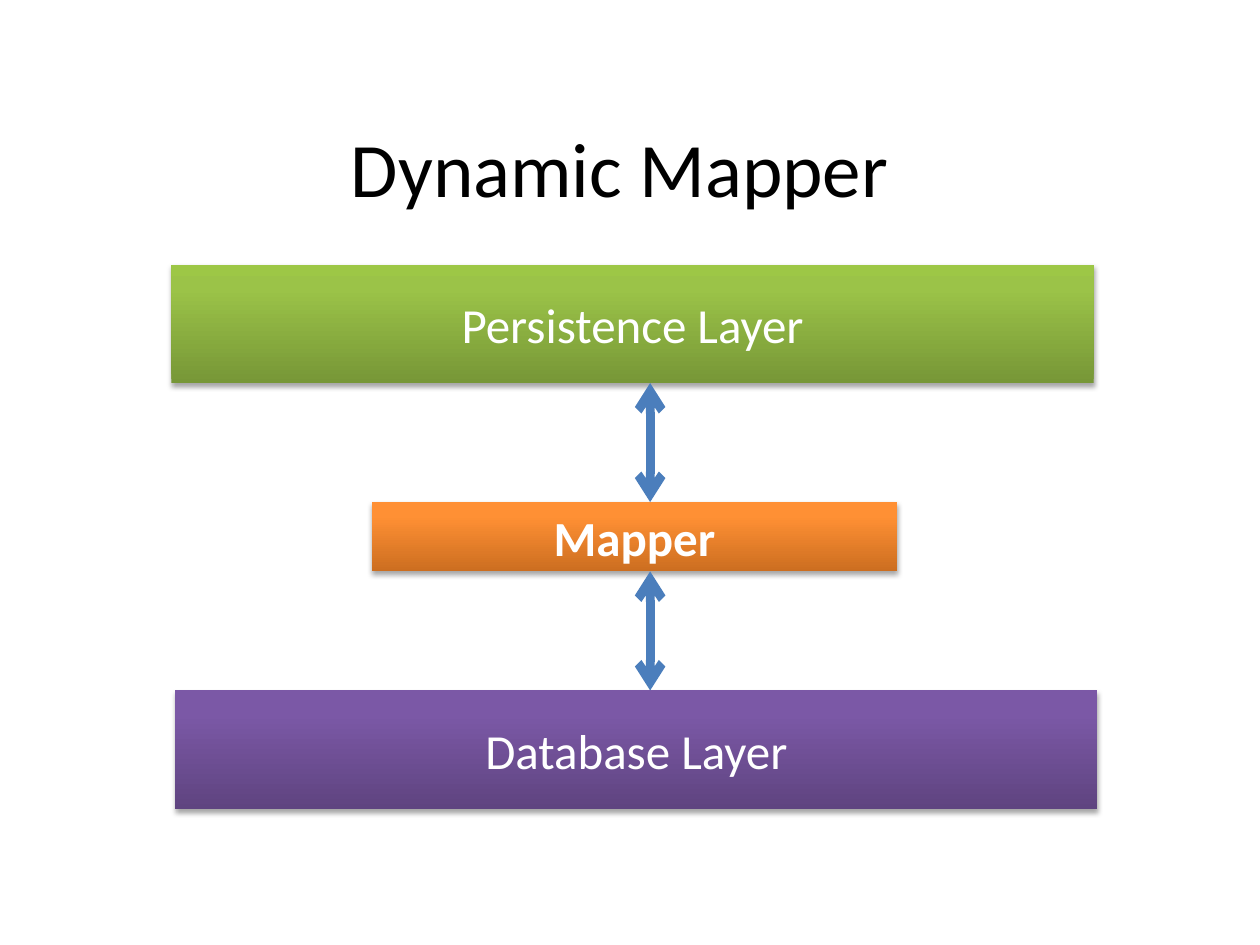
from pptx import Presentation
from pptx.dml.color import RGBColor
from pptx.enum.shapes import MSO_CONNECTOR, MSO_SHAPE
from pptx.enum.text import MSO_ANCHOR, PP_ALIGN
from pptx.oxml import parse_xml
from pptx.oxml.ns import nsdecls
from pptx.util import Inches, Pt

BLACK = RGBColor(0x00, 0x00, 0x00)
WHITE = RGBColor(0xFF, 0xFF, 0xFF)
BLUE = RGBColor(0x4B, 0x7E, 0xBC)
GREEN = [RGBColor(0x77, 0x97, 0x37), RGBColor(0x9B, 0xC3, 0x48), RGBColor(0x9D, 0xC7, 0x46)]
ORANGE = [RGBColor(0xCC, 0x6E, 0x20), RGBColor(0xFF, 0x90, 0x34), RGBColor(0xFF, 0x91, 0x36)]
PURPLE = [RGBColor(0x5F, 0x44, 0x80), RGBColor(0x7B, 0x58, 0xA6), RGBColor(0x7C, 0x57, 0xA8)]
STOPS = (0, 80, 100)


class Deck:
    cell = Inches(0.1)
    cols, rows = 100, 75
    frame = {"word_wrap": True, "vertical_anchor": MSO_ANCHOR.MIDDLE}
    font = {"name": "Calibri", "size": Pt(28), "bold": False}

    def __init__(self):
        self.show = Presentation()
        self.show.slide_width, self.show.slide_height = self.grid(self.cols, self.rows)
        self.slide = self.show.slides.add_slide(self.show.slide_layouts[6])

    def grid(self, *cells):
        return [round(n * self.cell) for n in cells]

    def label(self, shape, text, color, **style):
        for key, value in self.frame.items():
            setattr(shape.text_frame, key, value)
        line = shape.text_frame.paragraphs[0]
        line.alignment = PP_ALIGN.CENTER
        run = line.add_run()
        run.text = text
        for key, value in (self.font | style).items():
            setattr(run.font, key, value)
        run.font.color.rgb = color

    def title(self, text, *area):
        box = self.slide.shapes.add_textbox(*self.grid(*area))
        self.label(box, text, BLACK, size=Pt(44))

    def layer(self, text, tones, *area, **style):
        box = self.slide.shapes.add_shape(MSO_SHAPE.RECTANGLE, *self.grid(*area))
        box.line.fill.background()
        stops = "".join(
            f'<a:gs pos="{stop * 1000}"><a:srgbClr val="{tone}"/></a:gs>'
            for stop, tone in zip(STOPS, tones))
        box.line._ln.addprevious(parse_xml(
            f'<a:gradFill {nsdecls("a")} rotWithShape="1"><a:gsLst>{stops}</a:gsLst>'
            '<a:lin ang="16200000" scaled="0"/></a:gradFill>'))
        box.shadow.inherit = False
        box._element.spPr[-1].append(parse_xml(
            f'<a:outerShdw {nsdecls("a")} blurRad="{Pt(3.1)}" dist="{Pt(1.8)}" '
            'dir="5400000" rotWithShape="0"><a:srgbClr val="000000">'
            '<a:alpha val="35000"/></a:srgbClr></a:outerShdw>'))
        self.label(box, text, WHITE, **style)

    def arrow(self, col, top, end):
        link = self.slide.shapes.add_connector(
            MSO_CONNECTOR.STRAIGHT, *self.grid(col, top, col, end))
        link.line.color.rgb = BLUE
        link.line.width = Pt(5)
        for tag in ("headEnd", "tailEnd"):
            link.line._ln.append(parse_xml(f'<a:{tag} {nsdecls("a")} type="arrow"/>'))
        link._element.spPr.append(parse_xml(f'<a:effectLst {nsdecls("a")}/>'))


def main():
    wide, tall, slim, gap = 73.2, 9.4, 5.5, 9.45
    top = 21
    mid = top + tall + gap
    base = mid + slim + gap
    deck = Deck()
    deck.title("Dynamic Mapper", 6.7, 5.2, 85, 16.1)
    deck.layer("Persistence Layer", GREEN, 13.6, top, wide, tall)
    deck.layer("Database Layer", PURPLE, 13.9, base, wide, tall)
    deck.layer("Mapper", ORANGE, 29.5, mid, 41.7, slim, bold=True)
    for end in (mid, base):
        deck.arrow(51.6, end - gap, end)
    deck.show.save("out.pptx")


if __name__ == "__main__":
    main()
